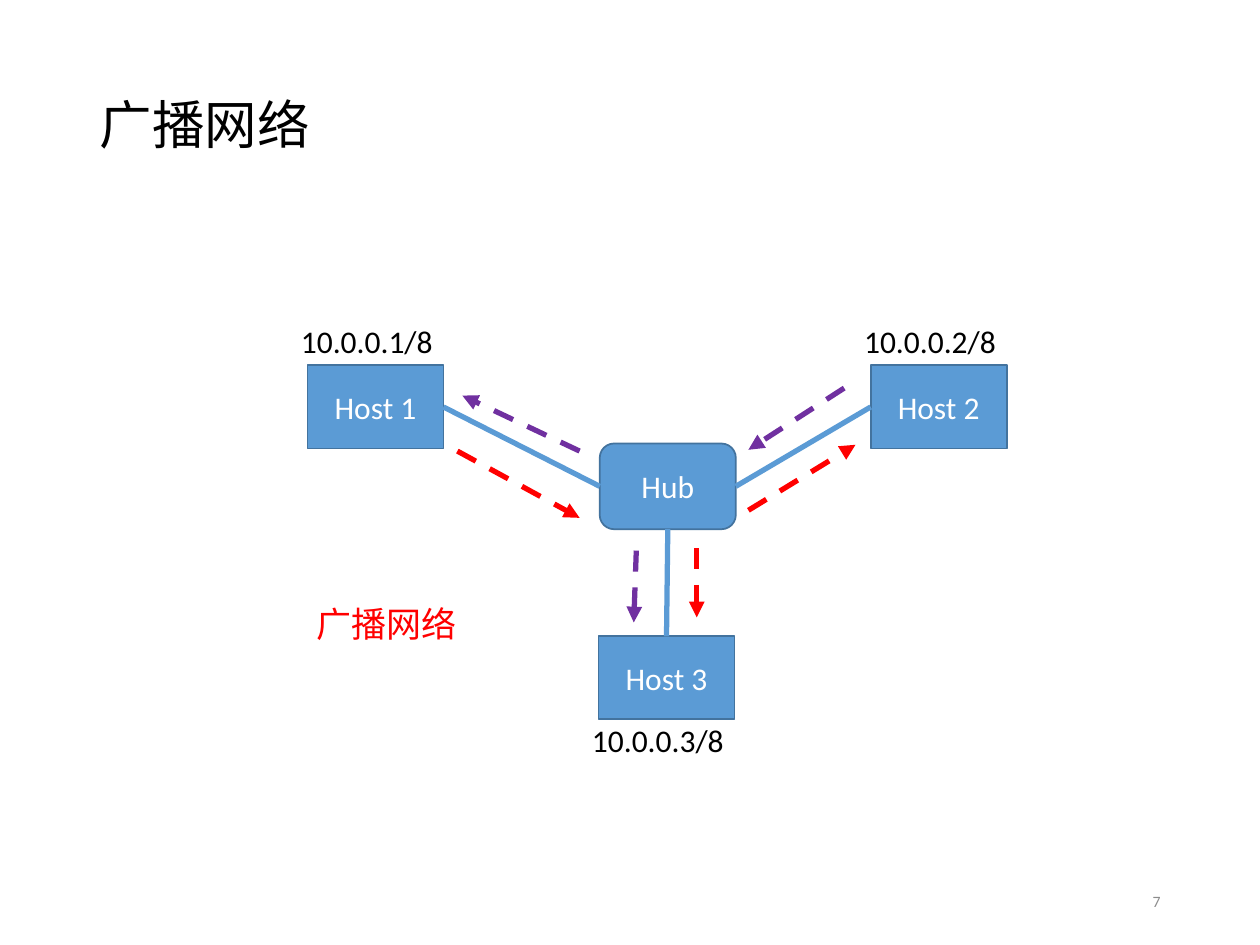
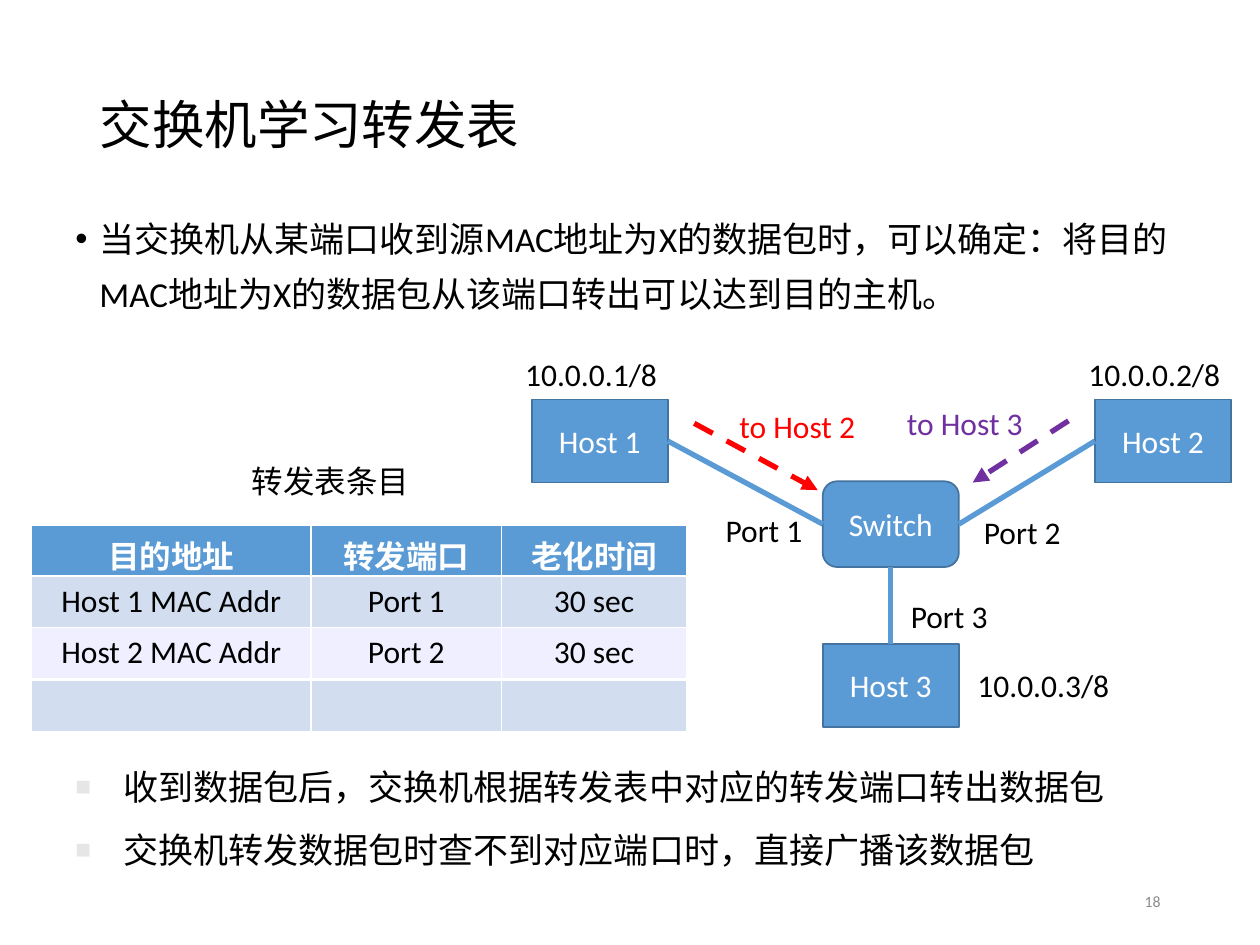
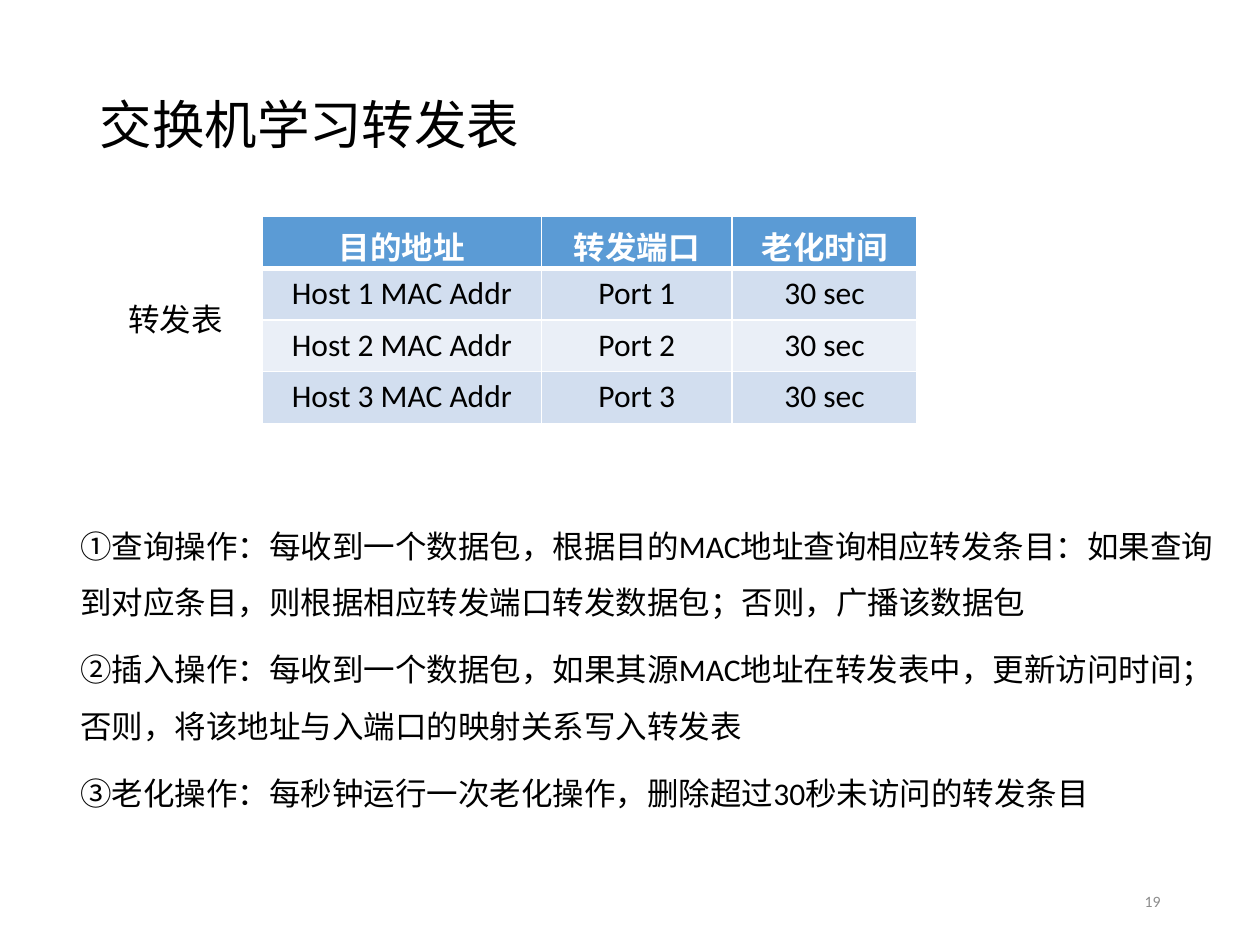
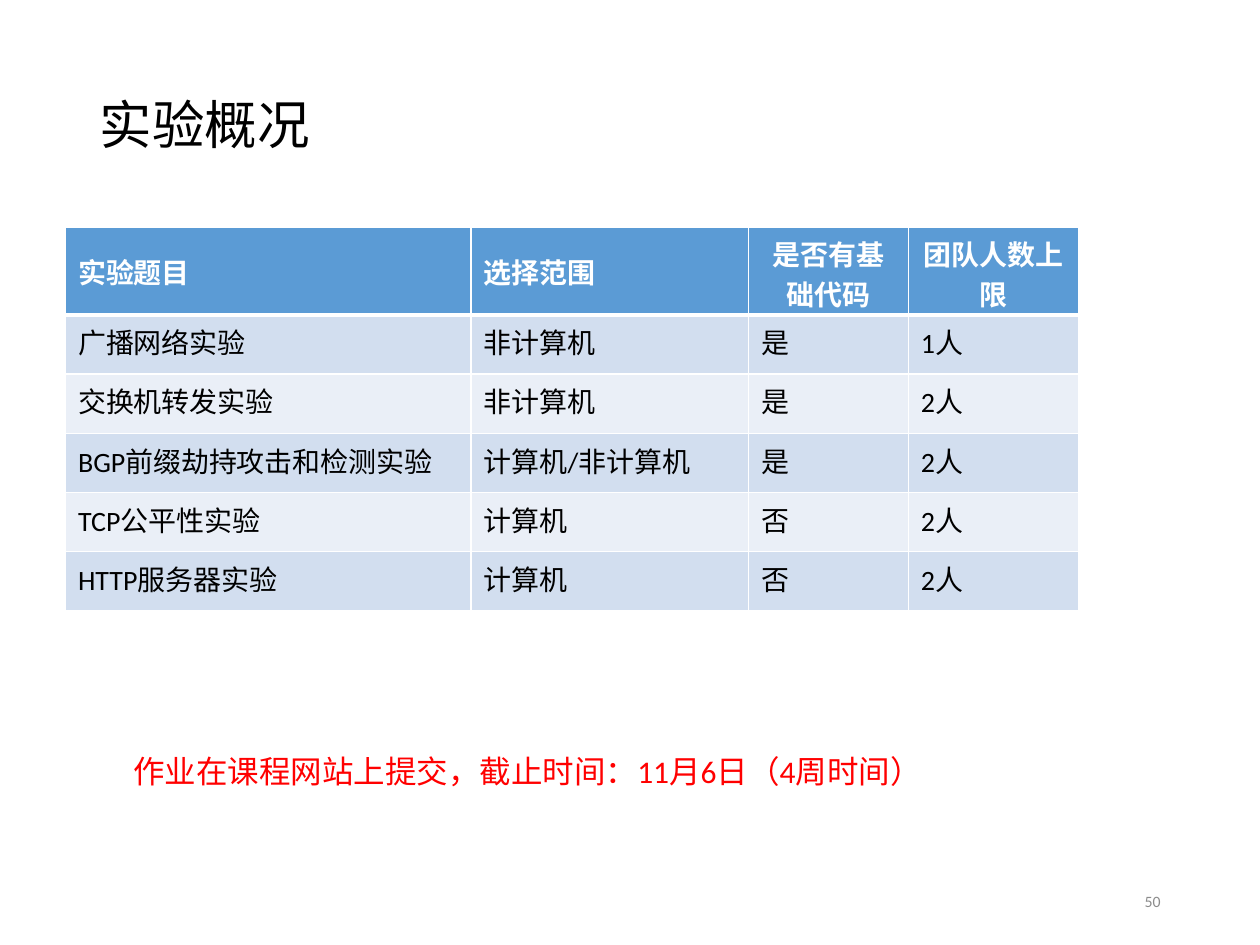
import lxml.etree
import pptx
import pptx.dml.color
import pptx.enum.dml
import pptx.enum.shapes
import pptx.enum.text
import pptx.oxml.ns
import pptx.util

Inches = pptx.util.Inches
Pt = pptx.util.Pt
ALIGN = pptx.enum.text.PP_ALIGN
ANCHOR = pptx.enum.text.MSO_ANCHOR
SHAPE = pptx.enum.shapes.MSO_SHAPE

FONT = "Calibri"
BLACK, WHITE, GRAY = "000000", "FFFFFF", "8C8C8C"
BLUE, DARK_BLUE = "5B9BD5", "43739E"
RED, PURPLE = "FF0000", "7030A0"
BAND_DARK, BAND_LIGHT, LAVENDER = "D2DEEF", "EAEFF7", "EFEFFF"
BULLET_GRAY = "E7E6E6"

HOST_SIZE = (1.08, 0.66)
HUB_SIZE = (1.08, 0.68)
ADDRESS_SIZE = (1.26, 0.4)
TOP, LEFT, BOTTOM, RIGHT = range(4)

TABLE_HEADER = ["目的地址", "转发端口", "老化时间"]
TABLE_COLUMNS = [2.22, 1.51, 1.47]
ROW_HEIGHT = 0.41


def rgb(color):
    return pptx.dml.color.RGBColor.from_string(color)


def add_element(parent, tag, **attributes):
    element = lxml.etree.SubElement(parent, pptx.oxml.ns.qn(tag))
    for name, value in attributes.items():
        element.set(name, str(value))
    return element


def add_bullet(paragraph, bullet, indent, color=None, percent=100):
    properties = paragraph._p.get_or_add_pPr()
    properties.set("marL", str(Inches(indent)))
    properties.set("indent", str(-Inches(indent)))
    if color:
        add_element(add_element(properties, "a:buClr"), "a:srgbClr", val=color)
    add_element(properties, "a:buSzPct", val=percent * 1000)
    add_element(properties, "a:buFont", typeface="Arial")
    add_element(properties, "a:buChar", char=bullet)


def write_text(frame, text, size=18, color=BLACK, bold=False, align=ALIGN.LEFT,
               line_spacing=None, space_before=0, bullet=None):
    lines = [text] if isinstance(text, str) else text
    for index, line in enumerate(lines):
        paragraph = frame.add_paragraph() if index else frame.paragraphs[0]
        paragraph.alignment = align
        paragraph.space_before = Pt(space_before)
        if line_spacing:
            paragraph.line_spacing = line_spacing
        if bullet:
            add_bullet(paragraph, **bullet)
        if not line:
            paragraph.font.size = Pt(size)
            continue
        run = paragraph.add_run()
        run.text = line
        run.font.name = FONT
        run.font.size = Pt(size)
        run.font.bold = bold
        run.font.color.rgb = rgb(color)


def set_cell_borders(cell, bottom_width):
    properties = cell._tc.get_or_add_tcPr()
    widths = {"a:lnL": 1, "a:lnR": 1, "a:lnT": 1, "a:lnB": bottom_width}
    for index, (tag, width) in enumerate(widths.items()):
        border = add_element(properties, tag, w=Pt(width))
        add_element(add_element(border, "a:solidFill"), "a:srgbClr", val=WHITE)
        properties.insert(index, border)


class Deck:
    def __init__(self):
        self.presentation = pptx.Presentation()
        self.presentation.slide_width = Inches(10)
        self.presentation.slide_height = Inches(7.5)
        self.slide = None

    def start_slide(self, title, number):
        layout = self.presentation.slide_layouts.get_by_name("Title Only")
        self.slide = self.presentation.slides.add_slide(layout)
        shape = self.slide.shapes.title
        shape.left, shape.top = Inches(0.69), Inches(0.4)
        shape.width, shape.height = Inches(8.62), Inches(1.23)
        shape.text_frame.vertical_anchor = ANCHOR.MIDDLE
        write_text(shape.text_frame, title, size=30, line_spacing=0.9)
        self.text(number, 7.06, 6.95, 2.25, 0.4, anchor=ANCHOR.MIDDLE,
                  size=9, color=GRAY, align=ALIGN.RIGHT)

    def text(self, text, left, top, width, height, wrap=True, anchor=ANCHOR.TOP, **text_format):
        shape = self.slide.shapes.add_textbox(Inches(left), Inches(top), Inches(width), Inches(height))
        frame = shape.text_frame
        frame.word_wrap = wrap
        frame.vertical_anchor = anchor
        write_text(frame, text, **text_format)

    def label(self, text, left, top, width, height=0.4, **text_format):
        self.text(text, left, top, width, height, wrap=False, **text_format)

    def node(self, text, left, top, size, kind=SHAPE.RECTANGLE):
        width, height = size
        shape = self.slide.shapes.add_shape(kind, Inches(left), Inches(top), Inches(width), Inches(height))
        shape.shadow.inherit = False
        shape.fill.solid()
        shape.fill.fore_color.rgb = rgb(BLUE)
        shape.line.color.rgb = rgb(DARK_BLUE)
        shape.line.width = Pt(1)
        shape.text_frame.vertical_anchor = ANCHOR.MIDDLE
        write_text(shape.text_frame, text, color=WHITE, align=ALIGN.CENTER)
        return shape

    def line(self, start=(0, 0), end=(0, 0), color=BLUE):
        connector = self.slide.shapes.add_connector(
            pptx.enum.shapes.MSO_CONNECTOR.STRAIGHT, *map(Inches, start + end))
        connector.line.color.rgb = rgb(color)
        connector.line.width = Pt(3)
        add_element(connector._element.spPr, "a:effectLst")
        return connector

    def link(self, first, first_side, second, second_side):
        connector = self.line()
        connector.begin_connect(first, first_side)
        connector.end_connect(second, second_side)

    def flow(self, start, end, color):
        connector = self.line(start, end, color)
        connector.line.dash_style = pptx.enum.dml.MSO_LINE.DASH
        add_element(connector.line._get_or_add_ln(), "a:tailEnd", type="triangle")

    def network(self, center_name, center, hosts, addresses):
        nodes = []
        for number, (host, address) in enumerate(zip(hosts, addresses), start=1):
            nodes.append(self.node(f"Host {number}", *host, HOST_SIZE))
            self.label(f"10.0.0.{number}/8", *address, *ADDRESS_SIZE)
        hub = self.node(center_name, *center, HUB_SIZE, SHAPE.ROUNDED_RECTANGLE)
        self.link(nodes[0], RIGHT, hub, LEFT)
        self.link(hub, RIGHT, nodes[1], LEFT)
        self.link(hub, BOTTOM, nodes[2], TOP)

    def table(self, rows, left, top, columns, heights, header=True, size=18, bands=(BAND_DARK, BAND_LIGHT),
              align=ALIGN.CENTER, header_aligns=None, header_anchor=ANCHOR.TOP):
        frame = self.slide.shapes.add_table(
            len(rows), len(columns), Inches(left), Inches(top), Inches(sum(columns)), Inches(sum(heights)))
        table = frame.table
        table.first_row = header
        for column, width in zip(table.columns, columns):
            column.width = Inches(width)
        for row_index, (values, height) in enumerate(zip(rows, heights)):
            table.rows[row_index].height = Inches(height)
            is_header = header and row_index == 0
            fill = BLUE if is_header else bands[(row_index - header) % len(bands)]
            aligns = header_aligns if is_header and header_aligns else [align] * len(columns)
            for column_index, value in enumerate(values):
                cell = table.cell(row_index, column_index)
                cell.fill.solid()
                cell.fill.fore_color.rgb = rgb(fill)
                cell.vertical_anchor = header_anchor if is_header else ANCHOR.TOP
                set_cell_borders(cell, 3 if is_header else 1)
                write_text(cell.text_frame, value, size=size, bold=is_header,
                           color=WHITE if is_header else BLACK, align=aligns[column_index])


def forwarding_entry(number):
    return [f"Host {number} MAC Addr", f"Port {number}", "30 sec"]


def add_broadcast_slide(deck):
    deck.start_slide("广播网络", "7")
    deck.network("Hub", (4.76, 3.52),
                 hosts=[(2.44, 2.9), (6.91, 2.9), (4.75, 5.05)],
                 addresses=[(2.29, 2.51), (6.76, 2.51), (4.6, 5.67)])
    flows = {
        RED: [((3.63, 3.58), (4.6, 4.11)), ((5.94, 4.05), (6.79, 3.53)), ((5.53, 4.35), (5.53, 4.9))],
        PURPLE: [((6.7, 3.08), (5.94, 3.57)), ((5.05, 4.37), (5.03, 4.94)), ((4.6, 3.58), (3.67, 3.14))],
    }
    for color, arrows in flows.items():
        for start, end in arrows:
            deck.flow(start, end, color)
    deck.label("广播网络", 2.41, 4.73, 1.32, 0.44, size=20, color=RED)


def add_learning_slide(deck):
    deck.start_slide("交换机学习转发表", "18")
    deck.text("当交换机从某端口收到源MAC地址为X的数据包时，可以确定：将目的MAC地址为X的数据包从该端口转出可以达到目的主机。",
              0.5, 1.58, 9, 1.72, size=20, line_spacing=1.3, space_before=7.5,
              bullet={"bullet": "•", "indent": 0.19})
    deck.flow((5.51, 3.36), (6.49, 3.89), RED)
    deck.flow((8.48, 3.34), (7.72, 3.83), PURPLE)
    deck.label("to Host 2", 5.77, 3.18, 1.13, color=RED)
    deck.label("to Host 3", 7.1, 3.16, 1.13, color=PURPLE)

    table_left, table_top = 0.25, 4.17
    empty_rows = [[""] * len(TABLE_COLUMNS)] * 3
    deck.table([TABLE_HEADER] + empty_rows, table_left, table_top, TABLE_COLUMNS, [ROW_HEIGHT] * 4)
    deck.label("转发表条目", 1.9, 3.62, 1.46)
    for number, fill in enumerate([BAND_DARK, LAVENDER], start=1):
        deck.table([forwarding_entry(number)], table_left, table_top - 0.01 + number * ROW_HEIGHT,
                   TABLE_COLUMNS, [ROW_HEIGHT], header=False, bands=[fill])

    deck.text(["收到数据包后，交换机根据转发表中对应的转发端口转出数据包",
               "交换机转发数据包时查不到对应端口时，直接广播该数据包"],
              0.5, 5.86, 9, 1.64, size=20, line_spacing=1.5,
              bullet={"bullet": "■", "indent": 0.38, "color": BULLET_GRAY, "percent": 75})
    deck.network("Switch", (6.53, 3.82),
                 hosts=[(4.22, 3.17), (8.69, 3.17), (6.53, 5.11)],
                 addresses=[(4.07, 2.77), (8.54, 2.77), (7.66, 5.24)])
    for number, place in enumerate([(5.66, 4.01), (7.71, 4.02), (7.13, 4.69)], start=1):
        deck.label(f"Port {number}", *place, 0.82)


def add_operations_slide(deck):
    deck.start_slide("交换机学习转发表", "19")
    entries = [forwarding_entry(number) for number in (1, 2, 3)]
    deck.table([TABLE_HEADER] + entries, 2.08, 1.72, TABLE_COLUMNS, [ROW_HEIGHT] * 4)
    deck.label("转发表", 0.92, 2.33, 0.96)
    deck.text(["①查询操作：每收到一个数据包，根据目的MAC地址查询相应转发条目：如果查询到对应条目，则根据相应转发端口转发数据包；否则，广播该数据包",
               "②插入操作：每收到一个数据包，如果其源MAC地址在转发表中，更新访问时间；否则，将该地址与入端口的映射关系写入转发表",
               "③老化操作：每秒钟运行一次老化操作，删除超过30秒未访问的转发条目"],
              0.54, 3.98, 9.23, 2.49, line_spacing=1.5, space_before=6)


def add_experiments_slide(deck):
    deck.start_slide("实验概况", "50")
    rows = [
        ["实验题目", "选择范围", "是否有基础代码", "团队人数上限"],
        ["广播网络实验", "非计算机", "是", "1人"],
        ["交换机转发实验", "非计算机", "是", "2人"],
        ["BGP前缀劫持攻击和检测实验", "计算机/非计算机", "是", "2人"],
        ["TCP公平性实验", "计算机", "否", "2人"],
        ["HTTP服务器实验", "计算机", "否", "2人"],
    ]
    deck.table(rows, 0.52, 1.8, [3.22, 2.2, 1.27, 1.35], [0.7] + [0.47] * 5, size=16, align=ALIGN.LEFT,
               header_aligns=[ALIGN.LEFT] * 2 + [ALIGN.CENTER] * 2, header_anchor=ANCHOR.MIDDLE)
    deck.text("作业在课程网站上提交，截止时间：11月6日（4周时间）", 0.96, 5.92, 6.46, 0.4, color=RED)


def main():
    deck = Deck()
    add_broadcast_slide(deck)
    add_learning_slide(deck)
    add_operations_slide(deck)
    add_experiments_slide(deck)
    deck.presentation.save("out.pptx")


if __name__ == "__main__":
    main()
